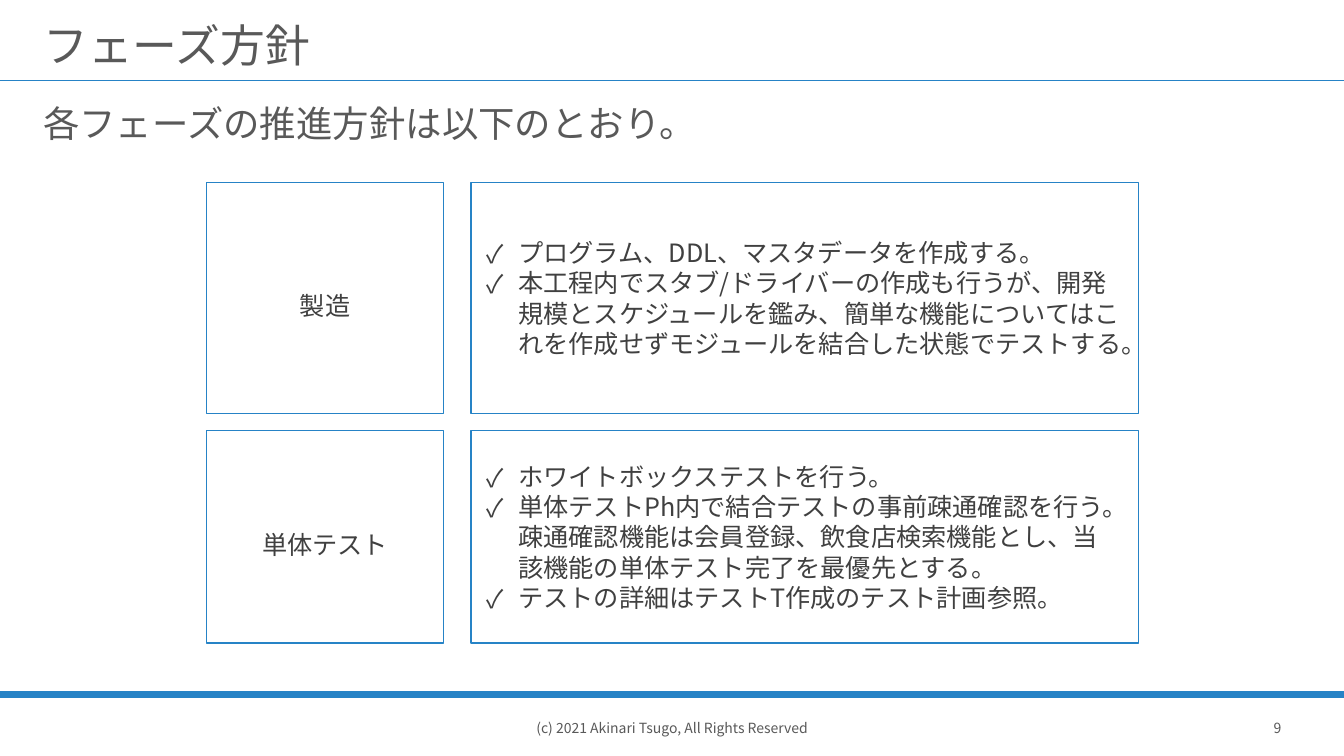
from dataclasses import dataclass
from lxml.etree import SubElement
from pptx import Presentation
from pptx.dml.color import RGBColor
from pptx.enum.lang import MSO_LANGUAGE_ID
from pptx.enum.shapes import MSO_CONNECTOR, MSO_SHAPE
from pptx.enum.text import MSO_ANCHOR, PP_ALIGN
from pptx.oxml.ns import qn
from pptx.util import Inches, Pt

# Content
TITLE = "フェーズ方針"
LEAD = "各フェーズの推進方針は以下のとおり。"
PHASES = [
    ("製造", [
        "プログラム、DDL、マスタデータを作成する。",
        "本工程内でスタブ/ドライバーの作成も行うが、開発規模とスケジュールを鑑み、"
        "簡単な機能についてはこれを作成せずモジュールを結合した状態でテストする。",
    ]),
    ("単体テスト", [
        "ホワイトボックステストを行う。",
        "単体テストPh内で結合テストの事前疎通確認を行う。疎通確認機能は会員登録、"
        "飲食店検索機能とし、当該機能の単体テスト完了を最優先とする。",
        "テストの詳細はテストT作成のテスト計画参照。",
    ]),
]
CREDIT = "(c) 2021 Akinari Tsugo, All Rights Reserved"
PAGE = "9"


@dataclass(frozen=True)
class Theme:
    font: str = "Noto Sans CJK JP"
    blue: str = "2683C6"
    white: str = "FFFFFF"
    gray: str = "595959"
    dark: str = "404040"
    title: int = 32
    lead: int = 26
    body: int = 18
    foot: int = 10


LOOK = Theme()

# Grid, in inches
WIDE, HIGH = 13.33, 7.5
EDGE = 0.33
LEFT, TOP = 2.05, 1.81
COLS, COL_GAP = (2.35, 6.62), 0.27
ROWS, ROW_GAP = (2.29, 2.11), 0.17
RULES = [(0.8, 1), (6.89, 4.5)]
FOOT_TOP, FOOT_HIGH = 6.95, 0.55


def color(code):
    return RGBColor.from_string(code)


def write(shape, lines, size, ink=LOOK.gray, align=PP_ALIGN.LEFT, anchor=MSO_ANCHOR.MIDDLE,
          inset=(0.1, 0.05, 0.1, 0.05), spacing=None, before=0, mark=None, wrap=True):
    frame = shape.text_frame
    frame.word_wrap = wrap
    frame.vertical_anchor = anchor
    (frame.margin_left, frame.margin_top,
     frame.margin_right, frame.margin_bottom) = map(Inches, inset)
    for i, line in enumerate(lines):
        para = frame.paragraphs[0] if i == 0 else frame.add_paragraph()
        para.alignment = align
        para.space_before = Pt(before)
        if spacing:
            para.line_spacing = spacing
        props = para._p.get_or_add_pPr()
        hang = Inches(0.31) if mark else 0
        props.set("marL", str(hang))
        props.set("indent", str(-hang))
        if mark:
            SubElement(props, qn("a:buFont")).set("typeface", LOOK.font)
            SubElement(props, qn("a:buChar")).set("char", mark)
        else:
            SubElement(props, qn("a:buNone"))
        run = para.add_run()
        run.text = line
        font = run.font
        font.name, font.size = LOOK.font, Pt(size)
        font.color.rgb = color(ink)
        font.language_id = MSO_LANGUAGE_ID.JAPANESE
        SubElement(run._r.rPr, qn("a:ea")).set("typeface", LOOK.font)


def place(shape, *box):
    shape.left, shape.top, shape.width, shape.height = map(Inches, box)


def add_rule(slide, y, weight):
    rule = slide.shapes.add_connector(
        MSO_CONNECTOR.STRAIGHT, 0, Inches(y), Inches(WIDE), Inches(y))
    rule.line.color.rgb = color(LOOK.blue)
    rule.line.width = Pt(weight)
    SubElement(rule._element.spPr, qn("a:effectLst"))


def add_box(slide, *box):
    shape = slide.shapes.add_shape(MSO_SHAPE.RECTANGLE, *map(Inches, box))
    shape.shadow.inherit = False
    shape.fill.solid()
    shape.fill.fore_color.rgb = color(LOOK.white)
    shape.line.color.rgb = color(LOOK.blue)
    shape.line.width = Pt(1)
    return shape


def add_text(slide, *box):
    return slide.shapes.add_textbox(*map(Inches, box))


def main():
    deck = Presentation()
    deck.slide_width, deck.slide_height = Inches(WIDE), Inches(HIGH)
    slide = deck.slides.add_slide(deck.slide_layouts[5])

    # Rules and footer
    for y, weight in RULES:
        add_rule(slide, y, weight)
    for text, x, width in [(PAGE, 12.34, 0.66), (CREDIT, 4.62, 4.09)]:
        write(add_text(slide, x, FOOT_TOP, width, FOOT_HIGH), [text], LOOK.foot,
              align=PP_ALIGN.CENTER, wrap=False)

    # Title and lead
    title = slide.shapes.title
    place(title, EDGE, 0.06, WIDE - 2 * EDGE, 0.69)
    write(title, [TITLE], LOOK.title, inset=(0.1, 0.2, 0.1, 0.05), spacing=0.9)
    lead = add_text(slide, EDGE, 1, WIDE - 2 * EDGE, 0.73)
    write(lead, [LEAD], LOOK.lead, anchor=MSO_ANCHOR.TOP, spacing=0.9, before=10)

    # One row per phase: name, then policy
    y = TOP
    for (name, points), high in zip(PHASES, ROWS):
        policy = add_box(slide, LEFT + COLS[0] + COL_GAP, y, COLS[1], high)
        write(policy, points, LOOK.body, LOOK.dark,
              inset=(0.16, 0.08, 0.16, 0.08), mark="✓")
        label = add_box(slide, LEFT, y, COLS[0], high)
        write(label, [name], LOOK.body, LOOK.dark, align=PP_ALIGN.CENTER, spacing=1.5)
        y += high + ROW_GAP

    deck.save("out.pptx")


if __name__ == "__main__":
    main()
